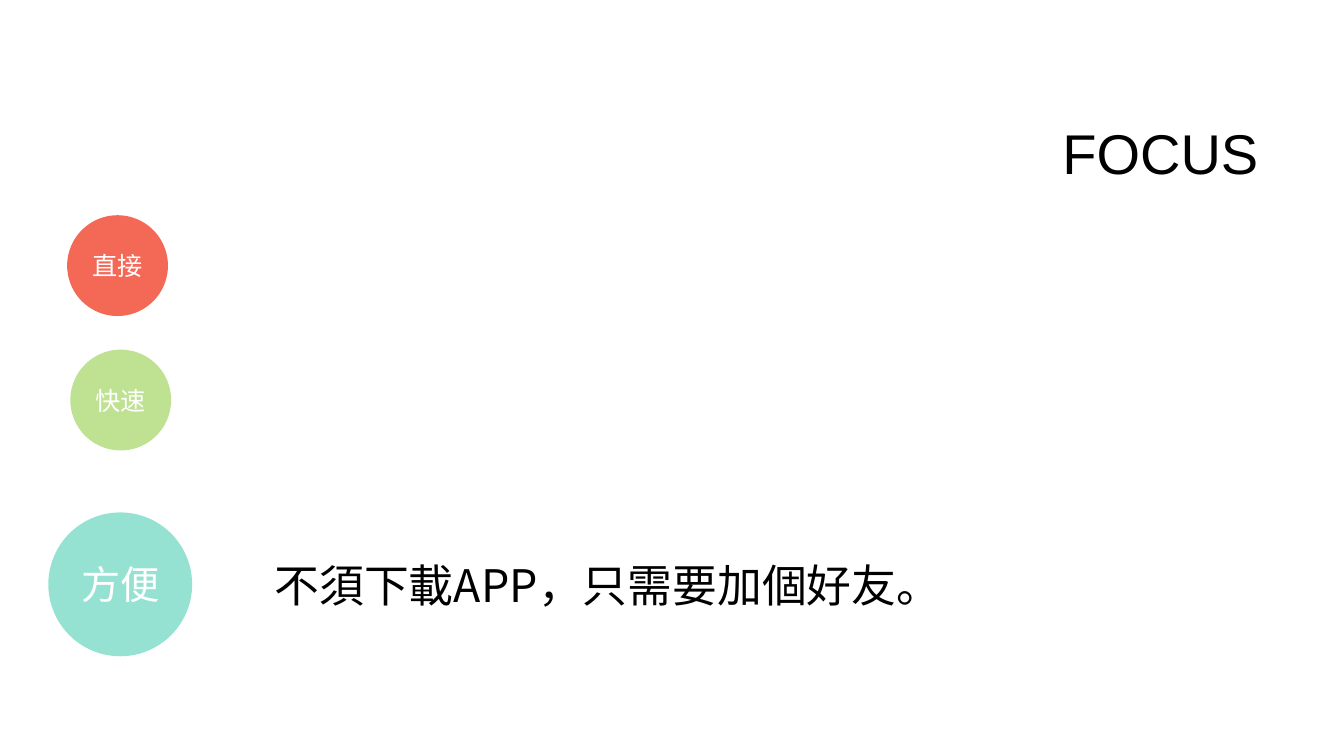
from dataclasses import dataclass

from lxml.etree import SubElement
from pptx import Presentation
from pptx.dml.color import RGBColor
from pptx.enum.shapes import MSO_SHAPE
from pptx.enum.text import MSO_ANCHOR, MSO_AUTO_SIZE, PP_ALIGN
from pptx.oxml.ns import qn
from pptx.slide import Slide
from pptx.text.text import TextFrame
from pptx.util import Emu, Pt

EMU_PER_PX = 9525
LATIN_FONT = "Arial"
CHINESE_FONT = "Noto Sans CJK TC"
COLORS = {
    "black": "000000",
    "white": "FFFFFF",
    "coral": "F46856",
    "green": "BEE292",
    "mint": "96E2D2",
}


@dataclass(frozen=True)
class Benefit:
    label: str
    left: int
    top: int
    diameter: int
    color: str
    font_size: int


BENEFITS = [
    Benefit("直接", 64, 205, 96, "coral", 18),
    Benefit("快速", 67, 333, 96, "green", 18),
    Benefit("方便", 46, 488, 137, "mint", 28),
]


def px(length: int) -> Emu:
    return Emu(length * EMU_PER_PX)


def rgb(color: str) -> RGBColor:
    return RGBColor.from_string(COLORS[color])


def write_text(text_frame: TextFrame, text: str, size: int, color: str,
               font_name: str, alignment: PP_ALIGN) -> None:
    text_frame.text = text
    paragraph = text_frame.paragraphs[0]
    paragraph.alignment = alignment
    for run in paragraph.runs:
        run.font.size = Pt(size)
        run.font.color.rgb = rgb(color)
        run.font.name = font_name
        # East Asian characters take their typeface from a:ea
        SubElement(run.font._element, qn("a:ea"), typeface=font_name)


def add_title(slide: Slide, text: str) -> None:
    title = slide.shapes.title
    title.left, title.top, title.width, title.height = map(px, (304, 81, 904, 135))
    title.text_frame.vertical_anchor = MSO_ANCHOR.MIDDLE
    write_text(title.text_frame, text, 40, "black", LATIN_FONT, PP_ALIGN.RIGHT)
    title.text_frame.paragraphs[0].line_spacing = 0.9


def add_statement(slide: Slide, text: str) -> None:
    text_box = slide.shapes.add_textbox(*map(px, (252, 526, 661, 61)))
    text_frame = text_box.text_frame
    text_frame.word_wrap = False
    text_frame.auto_size = MSO_AUTO_SIZE.SHAPE_TO_FIT_TEXT
    write_text(text_frame, text, 32, "black", CHINESE_FONT, PP_ALIGN.LEFT)


def add_benefit(slide: Slide, benefit: Benefit) -> None:
    diameter = px(benefit.diameter)
    circle = slide.shapes.add_shape(
        MSO_SHAPE.OVAL, px(benefit.left), px(benefit.top), diameter, diameter)
    circle.shadow.inherit = False
    circle.fill.solid()
    circle.fill.fore_color.rgb = rgb(benefit.color)
    circle.line.fill.background()
    circle.text_frame.word_wrap = False
    circle.text_frame.vertical_anchor = MSO_ANCHOR.MIDDLE
    write_text(circle.text_frame, benefit.label, benefit.font_size, "white",
               CHINESE_FONT, PP_ALIGN.CENTER)


def main() -> None:
    presentation = Presentation()
    presentation.slide_width = px(1280)
    presentation.slide_height = px(720)
    title_only = presentation.slide_layouts[5]
    slide = presentation.slides.add_slide(title_only)

    # Heading and statement
    add_title(slide, "FOCUS")
    add_statement(slide, "不須下載APP，只需要加個好友。")

    # Benefit circles
    for benefit in BENEFITS:
        add_benefit(slide, benefit)

    presentation.save("out.pptx")


if __name__ == "__main__":
    main()
